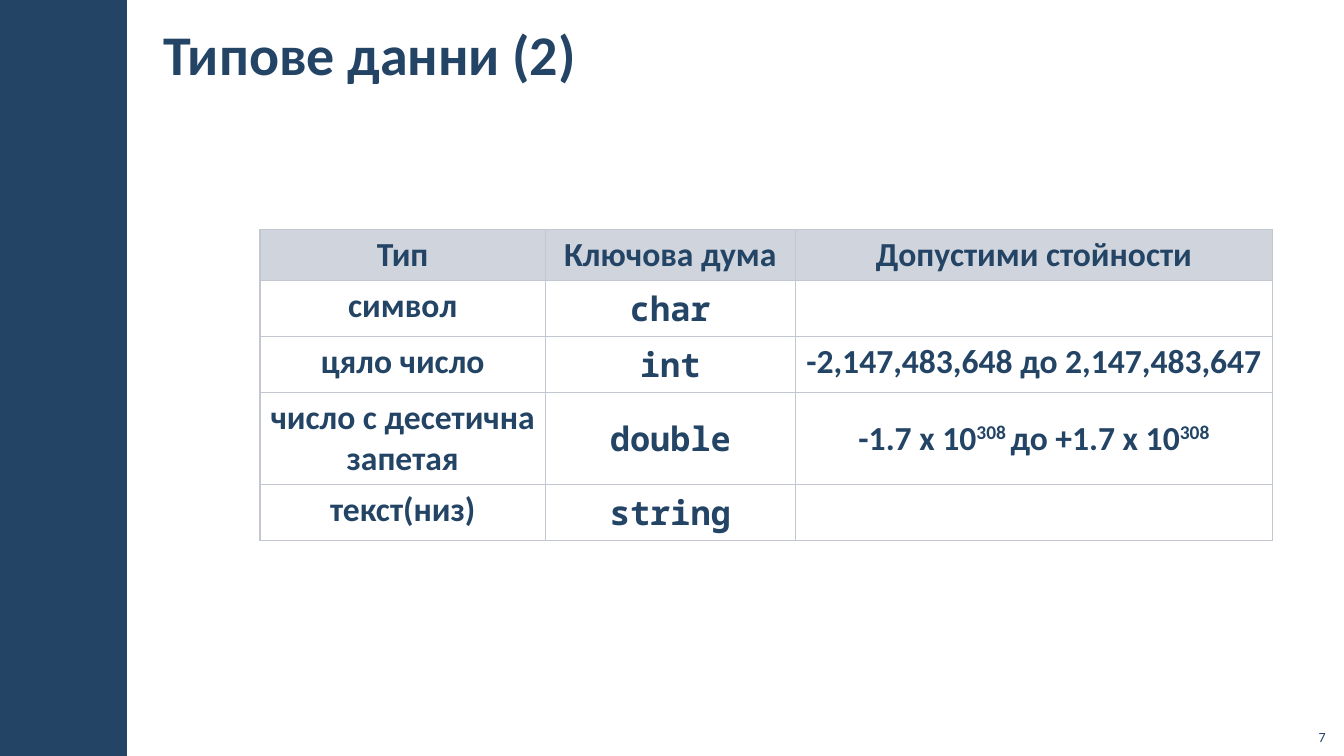
import pptx
import pptx.util
import pptx.dml.color
import pptx.enum.text
import pptx.enum.shapes
import pptx.oxml
import pptx.oxml.ns

Pt = pptx.util.Pt
RGB = pptx.dml.color.RGBColor.from_string
ALIGN = pptx.enum.text.PP_ALIGN
ANCHOR = pptx.enum.text.MSO_ANCHOR
NS = pptx.oxml.ns.nsdecls("a")

theme = {
    "navy": "234465", "head": "A3ABBC", "rule": "C2C7D2",
    "sans": "Calibri", "mono": "Noto Sans Mono",
    "title": 40, "table": 24, "page": 10,
}


def style(font, size, bold=True, face="sans"):
    form = {"name": theme[face], "size": Pt(theme[size]), "bold": bold}
    for key, value in form.items():
        setattr(font, key, value)
    font.color.rgb = RGB(theme["navy"])


def label(box, text, size, bold, align, anchor, inset):
    left, top, width, height = map(Pt, box)
    frame = slide.shapes.add_textbox(left, top, width, height).text_frame
    form = {
        "word_wrap": True, "vertical_anchor": anchor,
        "margin_left": Pt(inset), "margin_right": Pt(inset),
    }
    for key, value in form.items():
        setattr(frame, key, value)
    line = frame.paragraphs[0]
    line.alignment = align
    run = line.add_run()
    run.text = text
    style(run.font, size, bold)


deck = pptx.Presentation()
deck.slide_width, deck.slide_height = Pt(960), Pt(540)
slide = deck.slides.add_slide(deck.slide_layouts[6])

band = slide.shapes.add_shape(
    pptx.enum.shapes.MSO_SHAPE.RECTANGLE, Pt(0), Pt(0), Pt(90.72), Pt(540))
band.shadow.inherit = False
band.fill.solid()
band.fill.fore_color.rgb = RGB(theme["navy"])
band.line.fill.background()

label((108, 2.16, 661, 72), "Типове данни (2)", "title", True,
      ALIGN.LEFT, ANCHOR.MIDDLE, 8.64)

rows = [
    ["Тип", "Ключова дума", "Допустими стойности"],
    ["символ", "char", ""],
    ["цяло число", "int", "-2,147,483,648 до 2,147,483,647"],
    ["число с десетична\nзапетая", "double", "-1.7 x 10^308 ^до +1.7 x 10^308"],
    ["текст(низ)", "string", ""],
]
wide = [203.76, 178.56, 341]
tall = [36.4, 40, 40, 65.8, 40]
grid = slide.shapes.add_table(
    len(rows), len(wide), Pt(185.76), Pt(164), Pt(sum(wide)), Pt(sum(tall))).table
grid.horz_banding = False
for col, width in zip(grid.columns, wide):
    col.width = Pt(width)
for row, height in zip(grid.rows, tall):
    row.height = Pt(height)

for i, row in enumerate(rows):
    for j, text in enumerate(row):
        cell = grid.cell(i, j)
        cell.vertical_anchor = ANCHOR.MIDDLE if i in (0, 3) else ANCHOR.TOP
        face = "mono" if i and j == 1 else "sans"
        for n, part in enumerate(text.split("\n")):
            frame = cell.text_frame
            line = frame.add_paragraph() if n else frame.paragraphs[0]
            line.alignment = ALIGN.CENTER
            if i == 0 and j < 2:
                line.line_spacing = 0.95
            style(line.font, "table", True, face)
            for k, piece in enumerate(part.split("^")):
                if piece:
                    run = line.add_run()
                    run.text = piece
                    style(run.font, "table", True, face)
                    if k % 2:
                        run._r.get_or_add_rPr().set("baseline", "30000")
        props = cell._tc.get_or_add_tcPr()
        for side in ("lnL", "lnR", "lnT", "lnB"):
            props.append(pptx.oxml.parse_xml(
                f'<a:{side} {NS} w="12700"><a:solidFill>'
                f'<a:srgbClr val="{theme["rule"]}"/></a:solidFill></a:{side}>'))
        if i:
            cell.fill.background()
        else:
            cell.fill.solid()
            cell.fill.fore_color.rgb = RGB(theme["head"])
            tint = props.find(".//" + pptx.oxml.ns.qn("a:solidFill") + "[last()]")
            tint = props.findall(pptx.oxml.ns.qn("a:solidFill"))[0][0]
            tint.append(pptx.oxml.parse_xml(f'<a:alpha {NS} val="50000"/>'))

label((925.2, 512.64, 28.8, 23.04), "7", "page", False,
      ALIGN.RIGHT, ANCHOR.BOTTOM, 7.2)

deck.save("out.pptx")
